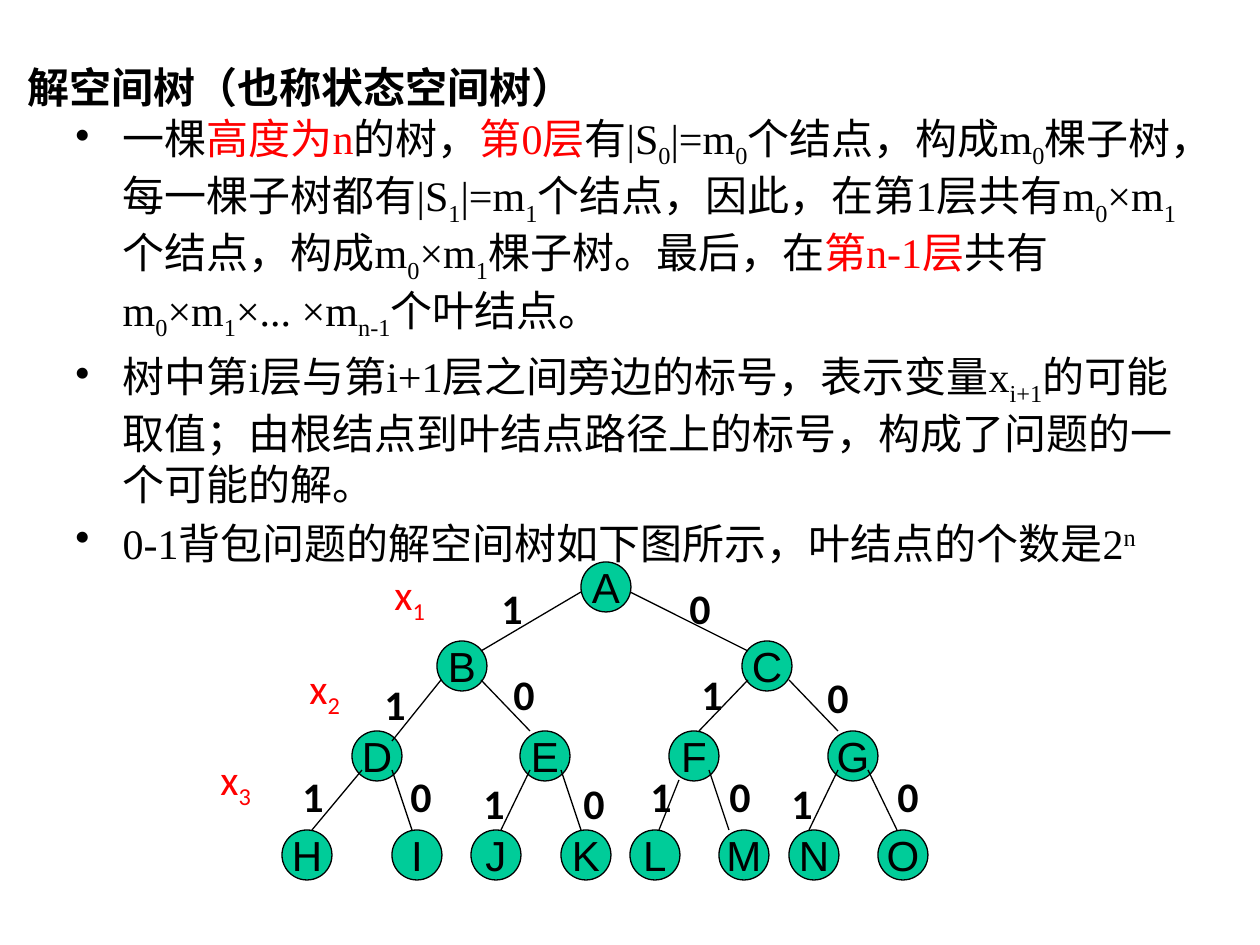
from lxml import etree
from pptx import Presentation
from pptx.dml.color import RGBColor
from pptx.enum.shapes import MSO_CONNECTOR, MSO_SHAPE
from pptx.enum.text import MSO_ANCHOR, MSO_AUTO_SIZE, PP_ALIGN
from pptx.oxml.ns import qn
from pptx.util import Emu, Pt

OVAL, LINE = MSO_SHAPE.OVAL, MSO_CONNECTOR.STRAIGHT
MID, GROW, MIDDLE = MSO_ANCHOR.MIDDLE, MSO_AUTO_SIZE.SHAPE_TO_FIT_TEXT, PP_ALIGN.CENTER
BLACK, RED, GREEN = "000000", "FF0000", "00CC99"

TITLE = "解空间树（也称状态空间树）"
BODY = [
    "一棵[高度为n]的树，[第0层]有|S{0}|=m{0}个结点，构成m{0}棵子树，"
    "每一棵子树都有|S{1}|=m{1}个结点，因此，在第1层共有m{0}×m{1}个结点，"
    "构成m{0}×m{1}棵子树。最后，在[第n-1层]共有m{0}×m{1}×... ×m{n-1}个叶结点。",
    "树中第i层与第i+1层之间旁边的标号，表示变量x{i+1}的可能取值；"
    "由根结点到叶结点路径上的标号，构成了问题的一个可能的解。",
    "0-1背包问题的解空间树如下图所示，叶结点的个数是2<n>",
]
MARKS = {"[": (RED, 0), "{": (BLACK, -25), "<": (BLACK, 30)}
ENDS = "]}>"

NODES = [
    (562, {"A": 581}),
    (641, {"B": 437, "C": 742}),
    (731, {"D": 352, "E": 520, "F": 669, "G": 828}),
    (830, {"H": 282, "I": 392, "J": 471, "K": 561,
           "L": 630, "M": 719, "N": 789, "O": 878}),
]
SIZE = 50
# Each branch: start, end, label corner
BRANCHES = [
    ((581, 592), (481, 651), (489, 576)), ((630, 592), (748, 651), (677, 576)),
    ((441, 680), (392, 741), (372, 672)), ((481, 680), (530, 731), (501, 662)),
    ((748, 680), (699, 731), (689, 662)), ((789, 680), (838, 731), (815, 665)),
    ((362, 770), (312, 830), (290, 764)), ((392, 770), (412, 830), (398, 764)),
    ((530, 770), (501, 830), (471, 771)), ((561, 770), (581, 830), (571, 771)),
    ((679, 780), (659, 830), (638, 764)), ((709, 770), (729, 830), (717, 764)),
    ((838, 770), (809, 830), (779, 771)), ((868, 770), (897, 830), (885, 764)),
]
LEVELS = [("x{1}", 382, 562), ("x{2}", 297, 656), ("x{3}", 208, 747)]

SANS = {"size": Pt(24), "name": "Arial"}
SERIF = {"size": Pt(24), "name": "Times New Roman"}
LABEL = {"size": Pt(24), "name": "Calibri"}
BOLD = {"bold": True}


def px(*vals):
    return [Emu(round(v * 914400 / 126)) for v in vals]


def rgb(code):
    return RGBColor.from_string(code)


def parts(text):
    """Split marked text into (words, colour, baseline) parts."""
    look, words = (BLACK, 0), ""
    for char in text:
        if char in MARKS or char in ENDS:
            if words:
                yield words, *look
            look, words = MARKS.get(char, (BLACK, 0)), ""
        else:
            words += char
    if words:
        yield words, *look


def write(para, text, style, base=BLACK):
    for words, color, shift in parts(text):
        run = para.add_run()
        run.text = words
        for key, val in style.items():
            setattr(run.font, key, val)
        run.font.color.rgb = rgb(base if color == BLACK else color)
        if shift:
            run._r.get_or_add_rPr().set("baseline", str(shift * 1000))


def label(slide, text, box, style, color=BLACK):
    frame = slide.shapes.add_textbox(*px(*box)).text_frame
    frame.word_wrap = False
    frame.auto_size = GROW
    write(frame.paragraphs[0], text, style, color)


def body(slide):
    frame = slide.shapes.add_textbox(*px(63, 106, 1134, 799)).text_frame
    frame.word_wrap = True
    for i, text in enumerate(BODY):
        para = frame.add_paragraph() if i else frame.paragraphs[0]
        props = para._p.get_or_add_pPr()
        props.set("marL", "342900")
        props.set("indent", "-342900")
        etree.SubElement(props, qn("a:buChar")).set("char", "•")
        if i:
            para.space_before = Pt(5)
        write(para, text, SERIF)


def node(slide, name, left, top):
    oval = slide.shapes.add_shape(OVAL, *px(left, top, SIZE, SIZE))
    oval.shadow.inherit = False
    oval.fill.solid()
    oval.fill.fore_color.rgb = rgb(GREEN)
    oval.line.color.rgb = rgb(BLACK)
    oval.line.width = Pt(0.75)
    frame = oval.text_frame
    frame.word_wrap = False
    frame.vertical_anchor = MID
    frame.paragraphs[0].alignment = MIDDLE
    write(frame.paragraphs[0], name, SANS)


def branch(slide, start, end):
    link = slide.shapes.add_connector(LINE, *px(*start, *end))
    link.line.color.rgb = rgb(BLACK)
    link.line.width = Pt(0.75)
    etree.SubElement(link._element.spPr, qn("a:effectLst"))


def main():
    deck = Presentation()
    deck.slide_width, deck.slide_height = px(1260, 945)
    slide = deck.slides.add_slide(deck.slide_layouts[6])
    body(slide)
    for top, row in NODES:
        for name, left in row.items():
            node(slide, name, left, top)
    for start, end, _ in BRANCHES:
        branch(slide, start, end)
    for i, (_, _, spot) in enumerate(BRANCHES):
        label(slide, "10"[i % 2], (*spot, 42, 50), LABEL | BOLD)
    for text, left, top in LEVELS:
        label(slide, text.replace("{", "{"), (left, top, 62, 63), LABEL, RED)
    label(slide, TITLE, (15, 55, 580, 64), SANS | BOLD)
    deck.save("out.pptx")


if __name__ == "__main__":
    main()
